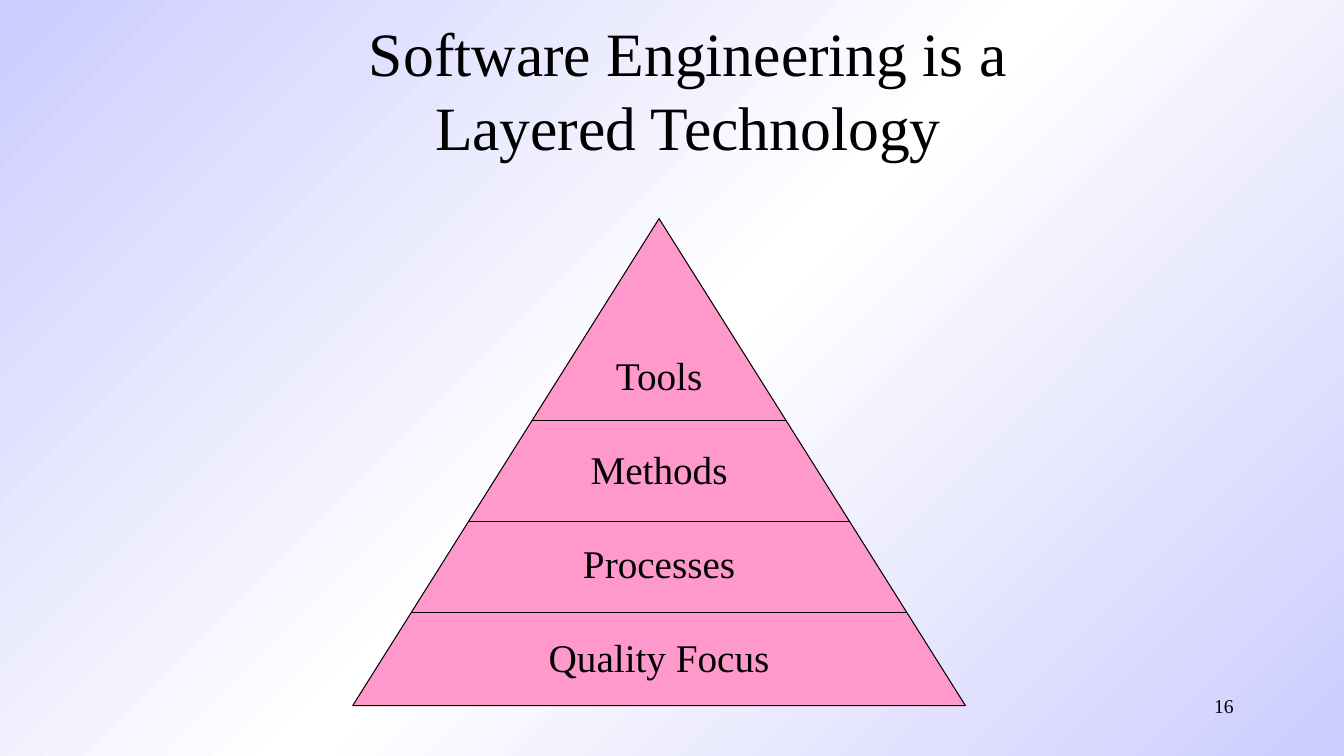
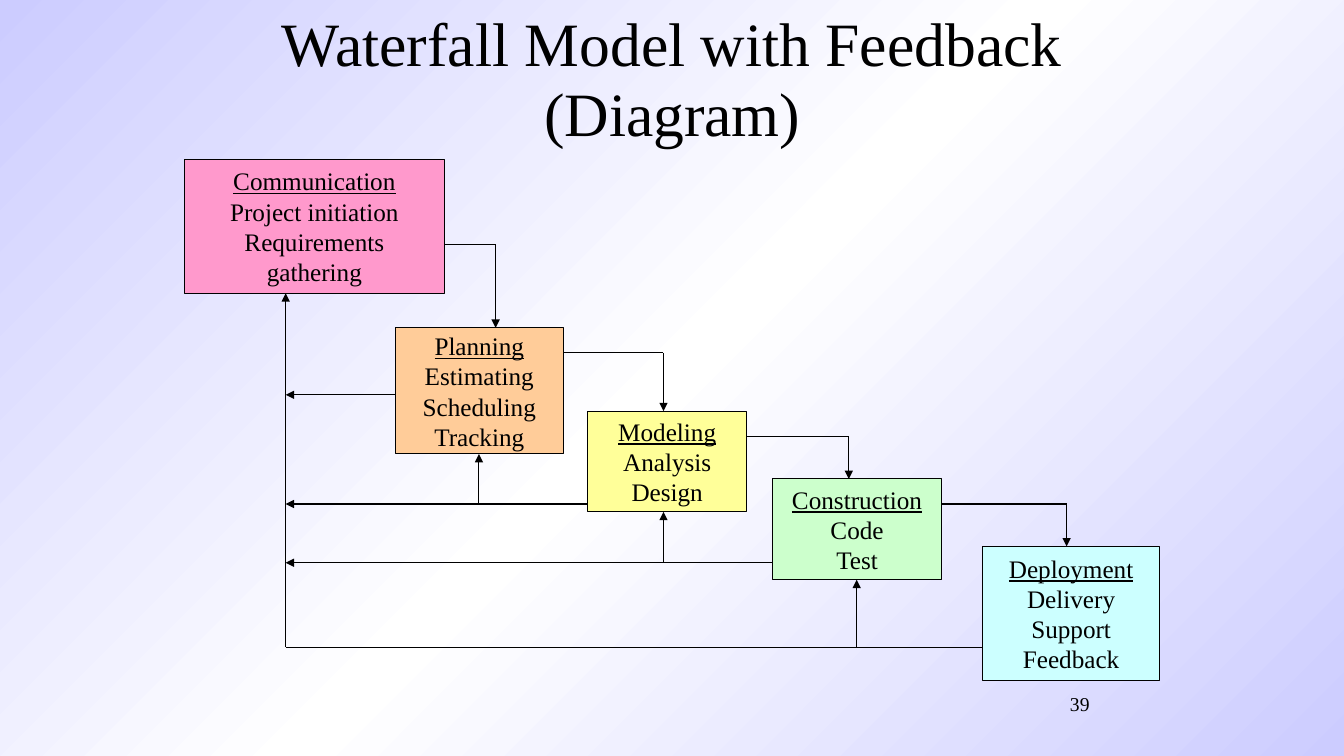
"""Build two slides: a layer pyramid and a waterfall diagram with feedback."""
from lxml import etree
from pptx import Presentation
from pptx.dml.color import RGBColor
from pptx.enum.shapes import MSO_CONNECTOR, MSO_SHAPE
from pptx.enum.text import MSO_ANCHOR, MSO_AUTO_SIZE, PP_ALIGN
from pptx.oxml.ns import qn
from pptx.util import Cm, Pt

LINE = MSO_CONNECTOR.STRAIGHT
RECT, PEAK = MSO_SHAPE.RECTANGLE, MSO_SHAPE.ISOSCELES_TRIANGLE
MIDDLE, FIXED = MSO_ANCHOR.MIDDLE, MSO_AUTO_SIZE.NONE
CENTER, RIGHT = PP_ALIGN.CENTER, PP_ALIGN.RIGHT

BLACK = RGBColor(0, 0, 0)
WHITE = RGBColor(0xFF, 0xFF, 0xFF)
LILAC = RGBColor(0xCC, 0xCC, 0xFF)
PINK = RGBColor(0xFF, 0x99, 0xCC)
PEACH = RGBColor(0xFF, 0xCC, 0x99)
YELLOW = RGBColor(0xFF, 0xFF, 0x99)
GREEN = RGBColor(0xCC, 0xFF, 0xCC)
AQUA = RGBColor(0xCC, 0xFF, 0xFF)
FONT = "Times New Roman"

LAYERS = ["Tools", "Methods", "Processes", "Quality Focus"]
CUTS = [10.59, 13.13, 15.44]
PYRAMID = (8.89, 5.51, 15.44, 12.27)

STAGES = [
    (["Communication", "Project initiation", "Requirements gathering"],
     PINK, (4.65, 4.01, 6.55, 3.38)),
    (["Planning", "Estimating", "Scheduling", "Tracking"],
     PEACH, (9.96, 8.26, 4.24, 3.18)),
    (["Modeling", "Analysis", "Design"],
     YELLOW, (14.81, 10.36, 4.01, 2.54)),
    (["Construction", "Code", "Test"],
     GREEN, (19.48, 12.07, 4.24, 2.54)),
    (["Deployment", "Delivery", "Support", "Feedback"],
     AQUA, (24.77, 13.77, 4.45, 3.38)),
]
BENDS = [(12.49, 6.15), (16.72, 8.89), (21.39, 11), (26.88, 12.7)]
BACK = [9.95, 12.7, 14.18, 16.31]
RISERS = [12.07, 16.72, 21.59]
SPINE = 7.2


def paint(master):
    """Give the master a diagonal gradient of three stops."""
    fill = master.background.fill
    fill.gradient()
    fill.gradient_angle = 315
    stops = master.element.find(".//" + qn("a:gsLst"))
    for stop in list(stops):
        stops.remove(stop)
    for pos, color in ((0, LILAC), (50000, WHITE), (100000, LILAC)):
        stop = etree.SubElement(stops, qn("a:gs"), pos=str(pos))
        etree.SubElement(stop, qn("a:srgbClr"), val=str(color))


def write(frame, lines, size, align=CENTER, space=1.0, gap=0):
    """Fill a text frame with one paragraph per line."""
    frame.word_wrap = True
    frame.auto_size = FIXED
    frame.text = "\n".join(lines)
    for i, para in enumerate(frame.paragraphs):
        para.alignment = align
        para.line_spacing = space
        para.space_before = Pt(gap if i else 0)
        font = para.font
        font.name, font.size, font.color.rgb = FONT, Pt(size), BLACK


def label(slide, box, lines, size, **style):
    """Add a text box."""
    area = slide.shapes.add_textbox(*map(Cm, box))
    write(area.text_frame, lines, size, **style)


def start(deck, title, box, number, spot, space=1.0):
    """Add a slide with its title and page number."""
    slide = deck.slides.add_slide(deck.slide_layouts[5])
    head = slide.shapes.title
    head.left, head.top, head.width, head.height = map(Cm, box)
    write(head.text_frame, [title], 44, space=space)
    head.text_frame.vertical_anchor = MIDDLE
    label(slide, spot, [number], 14, align=RIGHT, space=space)
    return slide


def block(slide, kind, box, color):
    """Add a filled shape with a thin black outline."""
    shape = slide.shapes.add_shape(kind, *map(Cm, box))
    shape.shadow.inherit = False
    shape.fill.solid()
    shape.fill.fore_color.rgb = color
    shape.line.color.rgb = BLACK
    shape.line.width = Pt(0.75)
    return shape


def link(slide, x1, y1, x2, y2, arrow=False):
    """Draw a straight line, with an arrowhead at its end if asked."""
    line = slide.shapes.add_connector(LINE, *map(Cm, (x1, y1, x2, y2)))
    line.line.color.rgb = BLACK
    line.line.width = Pt(0.75)
    if arrow:
        etree.SubElement(line.line._get_or_add_ln(), qn("a:tailEnd"),
                         type="triangle")
    etree.SubElement(line._element.spPr, qn("a:effectLst"))


def layers(deck):
    """Build the pyramid slide."""
    slide = start(deck, "Software Engineering is a Layered Technology",
                  (6.55, 0.64, 21.59, 3.18), "16", (24.28, 17.35, 7.06, 1.27))
    block(slide, PEAK, PYRAMID, PINK)
    left, top, width, height = PYRAMID
    mid = left + width / 2
    label(slide, (mid - 3.75, 8.74, 7.5, 8.56), LAYERS, 28, gap=33.5)
    for y in CUTS:
        half = (y - top) / height * width / 2
        link(slide, mid - half, y, mid + half, y)


def waterfall(deck):
    """Build the waterfall slide."""
    slide = start(deck, "Waterfall Model with Feedback\v(Diagram)",
                  (6.15, 0.13, 21.59, 3.78), "39", (22.43, 17.35, 5.28, 0.84),
                  space=0.95)
    for lines, color, box in STAGES:
        frame = block(slide, RECT, box, color).text_frame
        write(frame, lines, 18)
        frame.vertical_anchor = MIDDLE
        frame.margin_left = frame.margin_right = Cm(0.3)
        frame.paragraphs[0].font.underline = True

    boxes = [box for _, _, box in STAGES]
    for (left, _, width, _), goal, (x, y) in zip(boxes, boxes[1:], BENDS):
        link(slide, left + width, y, x, y)
        link(slide, x, y, x, goal[1], True)
    for box, y in zip(boxes[1:], BACK):
        link(slide, box[0], y, SPINE, y, y != BACK[-1])
    ups = zip([SPINE] + RISERS, [BACK[-1]] + BACK[1:], boxes)
    for x, y, (_, top, _, height) in ups:
        link(slide, x, y, x, top + height, True)


deck = Presentation()
deck.slide_width, deck.slide_height = Cm(33.87), Cm(19.05)
paint(deck.slide_master)
layers(deck)
waterfall(deck)
deck.save("out.pptx")
